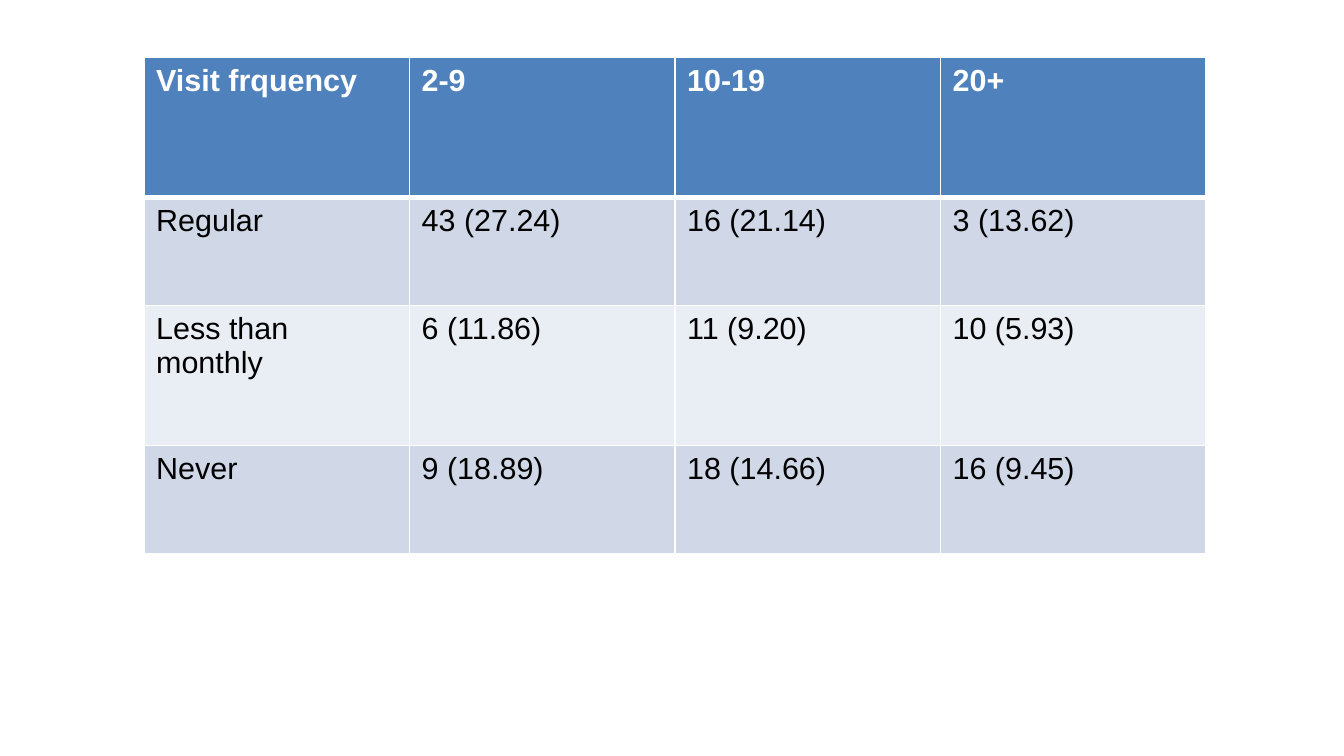
from dataclasses import dataclass

from pptx import Presentation
from pptx.dml.color import RGBColor
from pptx.oxml.ns import qn
from pptx.util import Pt
from lxml.etree import SubElement


@dataclass(frozen=True)
class Theme:
    font: str = "Arial"
    size: float = 18
    header_text: str = "FFFFFF"
    body_text: str = "000000"
    header_fill: str = "4F81BD"
    band_fills: tuple = ("D0D8E8", "E9EDF4")
    border: str = "FFFFFF"
    thin: float = 1
    thick: float = 3


THEME = Theme()
COLUMN_WIDTH = 156.75
ROW_HEIGHTS = (82.5, 64, 82.5, 64)
VISITS = (
    ("Visit frquency", "2-9", "10-19", "20+"),
    ("Regular", "43 (27.24)", "16 (21.14)", "3 (13.62)"),
    ("Less than monthly", "6 (11.86)", "11 (9.20)", "10 (5.93)"),
    ("Never", "9 (18.89)", "18 (14.66)", "16 (9.45)"),
)


def add_border(cell, side, width):
    properties = cell._tc.get_or_add_tcPr()
    line = SubElement(properties, qn(f"a:ln{side}"), w=str(Pt(width)))
    fill = SubElement(line, qn("a:solidFill"))
    SubElement(fill, qn("a:srgbClr"), val=THEME.border)


def format_cell(cell, text, row):
    is_header = row == 0
    top = THEME.thick if row == 1 else THEME.thin
    bottom = THEME.thick if is_header else THEME.thin
    for side, width in (("L", THEME.thin), ("R", THEME.thin), ("T", top), ("B", bottom)):
        add_border(cell, side, width)
    fill = THEME.header_fill if is_header else THEME.band_fills[(row - 1) % 2]
    cell.fill.solid()
    cell.fill.fore_color.rgb = RGBColor.from_string(fill)
    cell.text = text
    font = cell.text_frame.paragraphs[0].font
    font.name = THEME.font
    font.size = Pt(THEME.size)
    font.bold = is_header
    color = THEME.header_text if is_header else THEME.body_text
    font.color.rgb = RGBColor.from_string(color)


def add_visit_table(page, left, top):
    columns = len(VISITS[0])
    frame = page.shapes.add_table(
        len(VISITS), columns, Pt(left), Pt(top),
        Pt(COLUMN_WIDTH * columns), Pt(sum(ROW_HEIGHTS)),
    )
    table = frame.table
    for column in table.columns:
        column.width = Pt(COLUMN_WIDTH)
    for row, (height, texts) in enumerate(zip(ROW_HEIGHTS, VISITS)):
        table.rows[row].height = Pt(height)
        for column, text in enumerate(texts):
            format_cell(table.cell(row, column), text, row)


def main():
    deck = Presentation()
    deck.slide_width = Pt(793.44)
    deck.slide_height = Pt(446.4)
    page = deck.slides.add_slide(deck.slide_layouts.get_by_name("Blank"))
    add_visit_table(page, 85, 34)
    deck.save("out.pptx")


if __name__ == "__main__":
    main()
